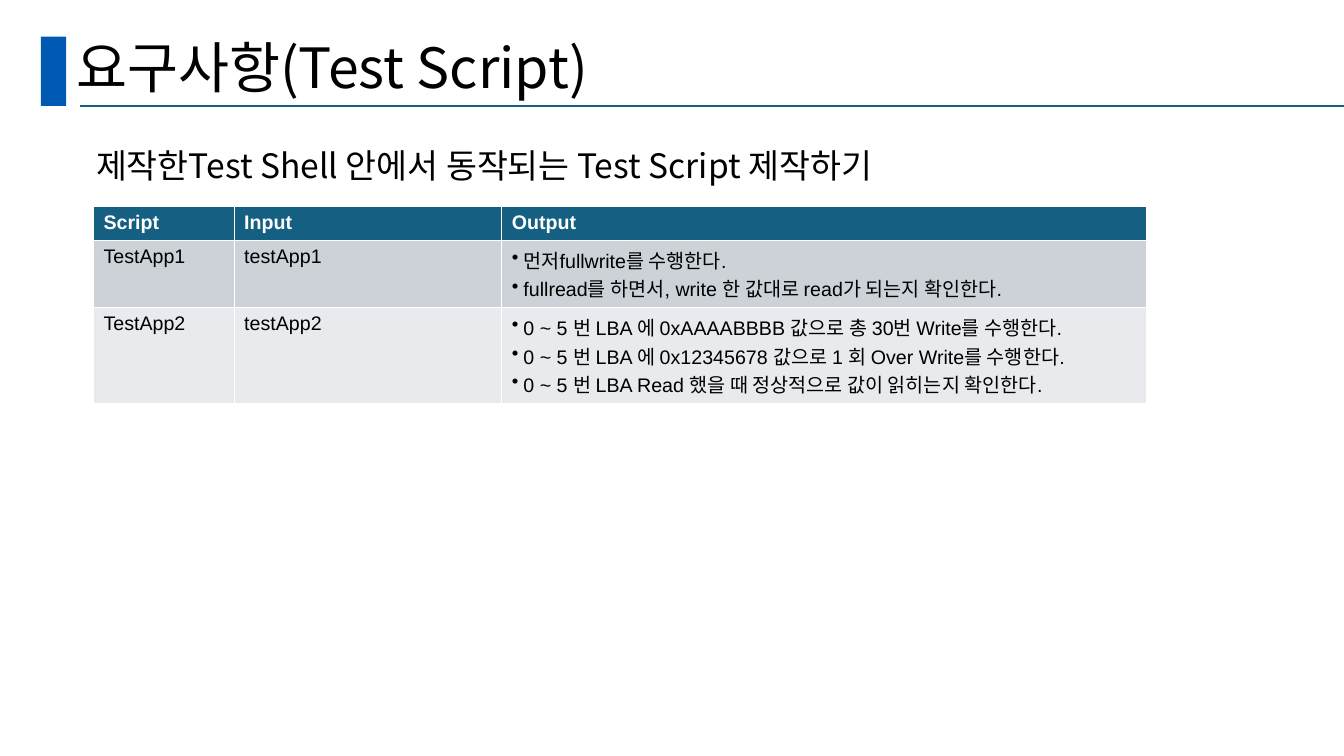
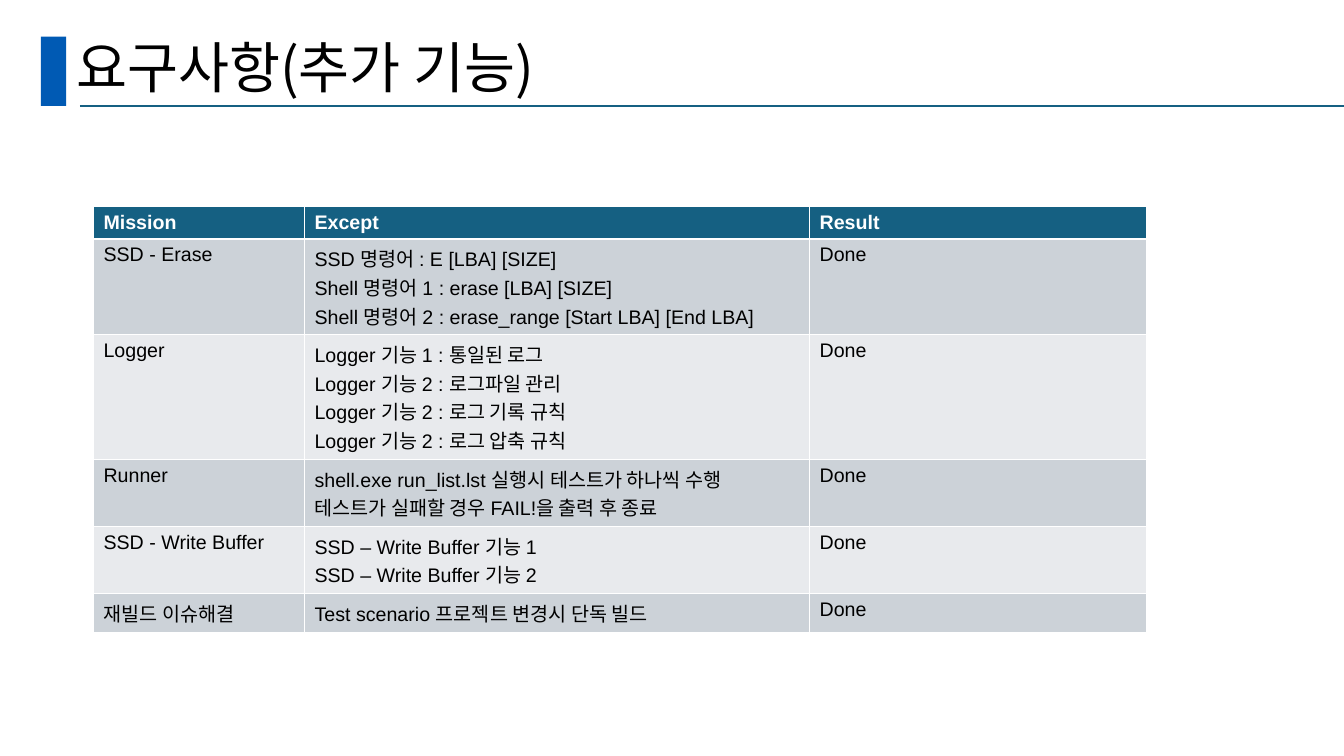
import dataclasses

import lxml.etree
import pptx
import pptx.dml.color
import pptx.enum.shapes
import pptx.enum.text
import pptx.oxml.ns
import pptx.util

PX = 9525
SLIDE_W, SLIDE_H = 1280, 720
TABLE_LEFT, TABLE_TOP = 89, 197
HEADER_H, LINE_H, CELL_PAD = 30, 27, 10


@dataclasses.dataclass(frozen=True)
class Theme:
    accent: str = "005AB4"
    teal: str = "156082"
    white: str = "FFFFFF"
    black: str = "000000"
    bands: tuple = ("CCD2D8", "E8EAED")
    latin: str = "Arial"
    korean: str = "Noto Sans CJK KR"
    title_size: float = 39.6
    lead_size: float = 24
    table_size: float = 14


THEME = Theme()

SCRIPT_COLS = (134, 255, 614)
SCRIPT_ROWS = (
    ("Script", "Input", "Output"),
    ("TestApp1", "testApp1", (
        "먼저fullwrite를 수행한다.",
        "fullread를 하면서, write 한 값대로 read가 되는지 확인한다.")),
    ("TestApp2", "testApp2", (
        "0 ~ 5 번 LBA 에 0xAAAABBBB 값으로 총 30번 Write를 수행한다.",
        "0 ~ 5 번 LBA 에 0x12345678 값으로 1 회 Over Write를 수행한다.",
        "0 ~ 5 번 LBA Read 했을 때 정상적으로 값이 읽히는지 확인한다.")),
)

FEATURE_COLS = (201, 481, 321)
FEATURE_ROWS = (
    ("Mission", "Except", "Result"),
    ("SSD - Erase", (
        "SSD 명령어 : E [LBA] [SIZE]",
        "Shell 명령어 1 : erase [LBA] [SIZE]",
        "Shell 명령어 2 : erase_range [Start LBA] [End LBA]"), "Done"),
    ("Logger", (
        "Logger 기능 1 : 통일된 로그",
        "Logger 기능 2 : 로그파일 관리",
        "Logger 기능 2 : 로그 기록 규칙",
        "Logger 기능 2 : 로그 압축 규칙"), "Done"),
    ("Runner", (
        "shell.exe run_list.lst 실행시 테스트가 하나씩 수행",
        "테스트가 실패할 경우 FAIL!을 출력 후 종료"), "Done"),
    ("SSD - Write Buffer", (
        "SSD – Write Buffer 기능 1",
        "SSD – Write Buffer 기능 2"), "Done"),
    ("재빌드 이슈해결", "Test scenario 프로젝트 변경시 단독 빌드", "Done"),
)


def px(*lengths):
    return [pptx.util.Emu(n * PX) for n in lengths]


def rgb(color):
    return pptx.dml.color.RGBColor.from_string(color)


def as_lines(content):
    return (content,) if isinstance(content, str) else content


def add_bullet(p):
    pPr = p._p.get_or_add_pPr()
    pPr.set("marL", str(11 * PX))
    pPr.set("indent", str(-11 * PX))
    bullet = lxml.etree.SubElement(pPr, pptx.oxml.ns.qn("a:buChar"))
    bullet.set("char", "•")


def write_text(tf, content, size, font=THEME.korean, color=THEME.black,
               bold=False, spacing=None, bullets=False):
    for i, line in enumerate(as_lines(content)):
        p = tf.paragraphs[0] if i == 0 else tf.add_paragraph()
        p.alignment = pptx.enum.text.PP_ALIGN.LEFT
        if spacing:
            p.line_spacing = spacing
        if bullets:
            add_bullet(p)
        r = p.add_run()
        r.text = line
        r.font.size = pptx.util.Pt(size)
        r.font.name = font
        r.font.bold = bold
        r.font.color.rgb = rgb(color)
        ea = lxml.etree.SubElement(r._r.get_or_add_rPr(), pptx.oxml.ns.qn("a:ea"))
        ea.set("typeface", THEME.korean)


def add_bar(s):
    bar = s.shapes.add_shape(pptx.enum.shapes.MSO_SHAPE.RECTANGLE, *px(39, 35, 24, 66))
    bar.shadow.inherit = False
    bar.fill.solid()
    bar.fill.fore_color.rgb = rgb(THEME.accent)
    bar.line.fill.background()


def add_rule(s):
    rule = s.shapes.add_connector(
        pptx.enum.shapes.MSO_CONNECTOR.STRAIGHT, *px(76, 101, SLIDE_W, 101))
    rule.line.color.rgb = rgb(THEME.teal)
    rule.line.width = pptx.util.Pt(1.5)
    lxml.etree.SubElement(rule._element.spPr, pptx.oxml.ns.qn("a:effectLst"))


def add_titled_slide(prs, title):
    s = prs.slides.add_slide(prs.slide_layouts[5])
    add_bar(s)
    add_rule(s)
    sp = s.shapes.title
    sp.left, sp.top, sp.width, sp.height = px(63, 33, 1104, 68)
    tf = sp.text_frame
    tf.word_wrap = True
    tf.auto_size = pptx.enum.text.MSO_AUTO_SIZE.NONE
    tf.vertical_anchor = pptx.enum.text.MSO_ANCHOR.MIDDLE
    write_text(tf, title, THEME.title_size, spacing=0.9)
    return s


def add_lead(s, text):
    tf = s.shapes.add_textbox(*px(82, 138, 1085, 48)).text_frame
    tf.word_wrap = True
    write_text(tf, text, THEME.lead_size, spacing=0.9)


def add_grid(s, cols, rows, bullet_col=None):
    heights = [HEADER_H] + [
        CELL_PAD + LINE_H * max(len(as_lines(c)) for c in row) for row in rows[1:]]
    table = s.shapes.add_table(
        len(rows), len(cols),
        *px(TABLE_LEFT, TABLE_TOP, sum(cols), sum(heights))).table
    for column, width in zip(table.columns, px(*cols)):
        column.width = width
    for row, height in zip(table.rows, px(*heights)):
        row.height = height
    for i, row in enumerate(rows):
        header = i == 0
        for j, content in enumerate(row):
            cell = table.cell(i, j)
            cell.fill.solid()
            cell.fill.fore_color.rgb = rgb(
                THEME.teal if header else THEME.bands[(i - 1) % 2])
            write_text(cell.text_frame, content, THEME.table_size,
                       font=THEME.latin, bold=header,
                       color=THEME.white if header else THEME.black,
                       bullets=not header and j == bullet_col)


def main():
    prs = pptx.Presentation()
    prs.slide_width, prs.slide_height = px(SLIDE_W, SLIDE_H)

    s = add_titled_slide(prs, "요구사항(Test Script)")
    add_lead(s, "제작한Test Shell 안에서 동작되는 Test Script 제작하기")
    add_grid(s, SCRIPT_COLS, SCRIPT_ROWS, bullet_col=2)

    s = add_titled_slide(prs, "요구사항(추가 기능)")
    add_grid(s, FEATURE_COLS, FEATURE_ROWS)

    prs.save("out.pptx")


if __name__ == "__main__":
    main()
